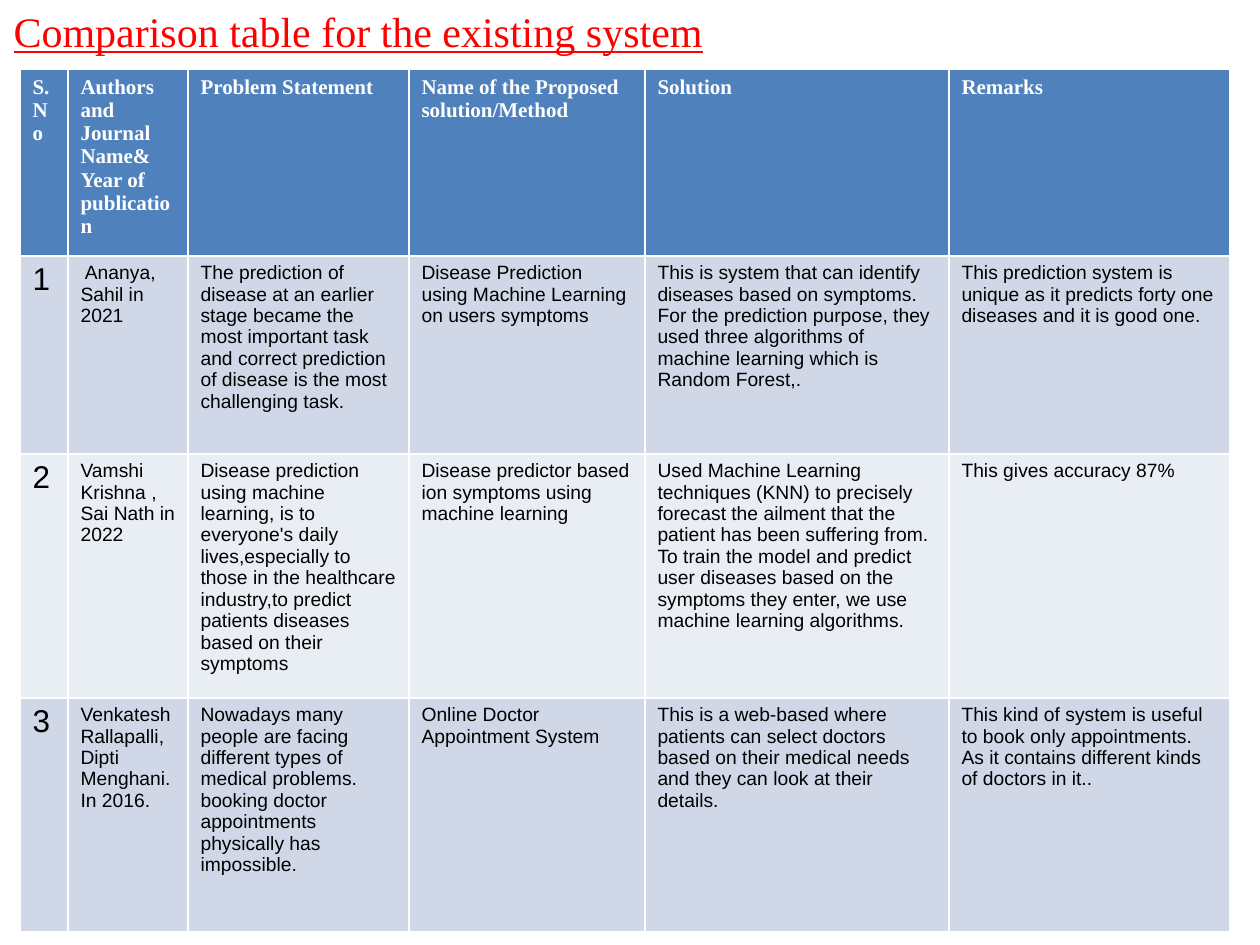
from dataclasses import dataclass

from pptx import Presentation
from pptx import util as u
from pptx.dml.color import RGBColor
from pptx.enum import text

EMU_PER_PX = u.Inches(1) / 126


@dataclass(frozen=True)
class Style:
    name: str
    size: int
    color: str
    bold: bool = False
    underline: bool = False


@dataclass(frozen=True)
class Theme:
    title: Style = Style("Times New Roman", 24, "FF0000", underline=True)
    header: Style = Style("Times New Roman", 12, "FFFFFF", bold=True)
    number: Style = Style("Arial", 18, "000000")
    body: Style = Style("Arial", 11, "000000")
    header_fill: str = "4F81BD"
    band_fills: tuple[str, str] = ("D0D8E8", "E9EDF4")


@dataclass(frozen=True)
class Study:
    authors: str
    problem: str
    method: str
    solution: str
    remarks: str


THEME = Theme()
COLUMN_WIDTHS = (48, 120, 221, 236, 304, 281)
ROW_HEIGHTS = (187, 198, 244, 234)

HEADERS = (
    "S.No",
    "Authors and Journal Name& Year of publication",
    "Problem Statement",
    "Name of the Proposed solution/Method",
    "Solution",
    "Remarks",
)

STUDIES = (
    Study(
        " Ananya,\nSahil in 2021",
        "The prediction of disease at an earlier stage became the most important task "
        "and correct prediction of disease is the most challenging task.",
        "Disease Prediction using Machine Learning on users symptoms",
        "This is system that can identify diseases based on symptoms.\n"
        "For the prediction purpose, they used three algorithms of machine learning "
        "which is Random Forest,.",
        "This prediction system is unique as it predicts forty one diseases and it is good one.",
    ),
    Study(
        "Vamshi Krishna , Sai Nath in 2022",
        "Disease prediction using machine learning, is to everyone's daily "
        "lives,especially to those in the healthcare industry,to predict patients "
        "diseases based on their symptoms",
        "Disease predictor based ion symptoms using machine learning",
        "Used Machine Learning techniques (KNN) to precisely forecast the ailment that "
        "the patient has been suffering from. To train the model and predict user "
        "diseases based on the symptoms they enter, we use machine learning algorithms.",
        "This gives accuracy 87%",
    ),
    Study(
        "Venkatesh Rallapalli, Dipti Menghani. In 2016.",
        "Nowadays many people are facing different types of medical problems. booking "
        "doctor appointments physically has impossible.",
        "Online Doctor Appointment System",
        "This is a web-based where patients can select doctors based on their medical "
        "needs and they can look at their details.",
        "This kind of system is useful to book only appointments. As it contains "
        "different kinds of doctors in it..",
    ),
)


def px(length: int) -> int:
    return round(length * EMU_PER_PX)


def write_text(frame, content: str, style: Style) -> None:
    frame.text = content
    font_values = {
        "name": style.name,
        "size": u.Pt(style.size),
        "bold": style.bold,
        "underline": style.underline,
    }
    for paragraph in frame.paragraphs:
        paragraph.alignment = text.PP_ALIGN.LEFT
        for run in paragraph.runs:
            for attribute, value in font_values.items():
                setattr(run.font, attribute, value)
            run.font.color.rgb = RGBColor.from_string(style.color)


def fill_cell(cell, content: str, style: Style, fill: str) -> None:
    cell.fill.solid()
    cell.fill.fore_color.rgb = RGBColor.from_string(fill)
    write_text(cell.text_frame, content, style)


def add_title(slide, content: str) -> None:
    title = slide.shapes.title
    title.left, title.top, title.width, title.height = map(px, (1, -1, 1239, 63))
    frame_values = {
        "word_wrap": True,
        "auto_size": text.MSO_AUTO_SIZE.NONE,
        "vertical_anchor": text.MSO_ANCHOR.TOP,
    }
    for attribute, value in frame_values.items():
        setattr(title.text_frame, attribute, value)
    write_text(title.text_frame, content, THEME.title)


def add_comparison_table(slide) -> None:
    frame = slide.shapes.add_table(
        len(ROW_HEIGHTS), len(COLUMN_WIDTHS),
        px(20), px(69), px(sum(COLUMN_WIDTHS)), px(sum(ROW_HEIGHTS)),
    )
    table = frame.table
    for column, width in zip(table.columns, COLUMN_WIDTHS):
        column.width = px(width)
    for row, height in zip(table.rows, ROW_HEIGHTS):
        row.height = px(height)

    # Header row
    for cell, header in zip(table.rows[0].cells, HEADERS):
        fill_cell(cell, header, THEME.header, THEME.header_fill)

    # One numbered, banded row per study
    for number, study in enumerate(STUDIES, start=1):
        fill = THEME.band_fills[(number - 1) % 2]
        contents = (str(number), study.authors, study.problem,
                    study.method, study.solution, study.remarks)
        for index, content in enumerate(contents):
            style = THEME.body if index else THEME.number
            fill_cell(table.cell(number, index), content, style, fill)


def main() -> None:
    presentation = Presentation()
    presentation.slide_width, presentation.slide_height = u.Inches(10), u.Inches(7.5)
    slide = presentation.slides.add_slide(presentation.slide_layouts[5])
    add_title(slide, "Comparison table for the existing system")
    add_comparison_table(slide)
    presentation.save("out.pptx")


if __name__ == "__main__":
    main()
